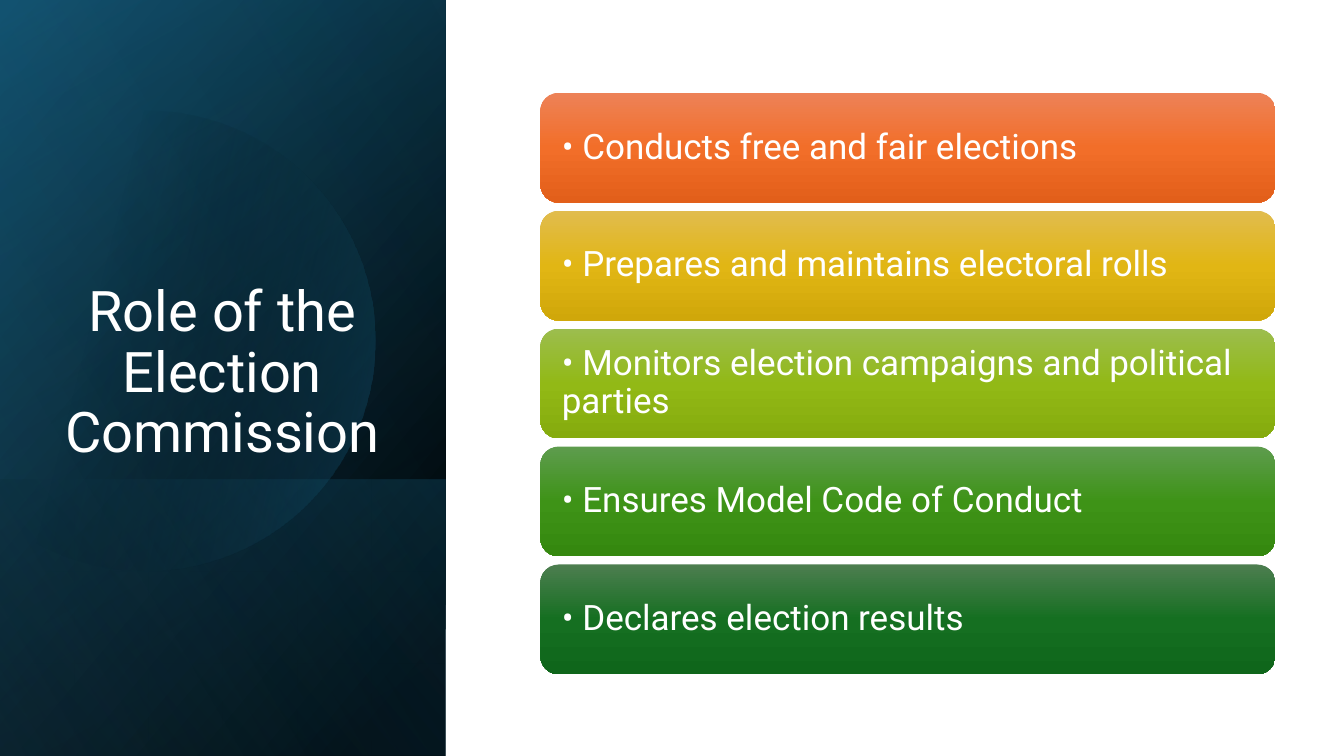
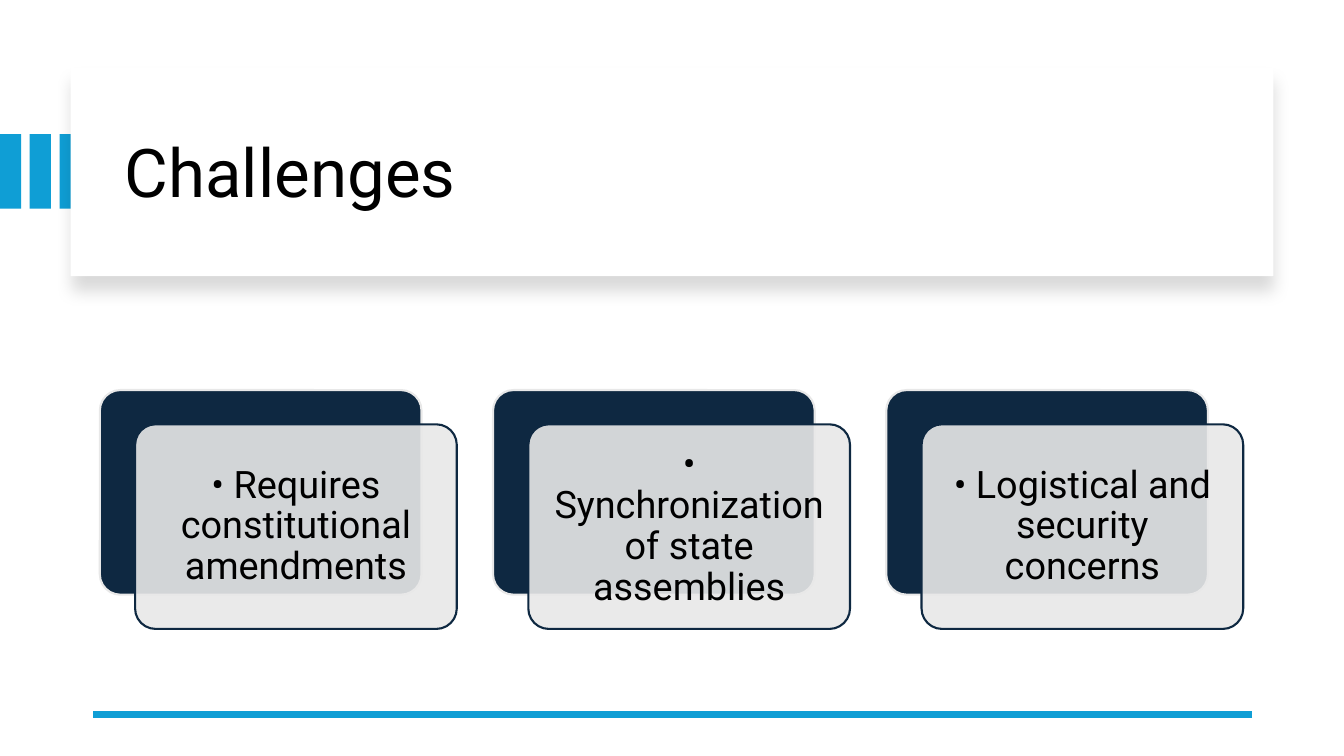
from math import acos, cos, degrees, radians, sin

from pptx import Presentation
from pptx.dml.color import RGBColor
from pptx.enum.shapes import MSO_CONNECTOR as Conn, MSO_SHAPE as Form
from pptx.enum.text import MSO_ANCHOR as Anchor, PP_ALIGN as Align
from pptx.oxml import parse_xml
from pptx.oxml.ns import nsdecls, qn
from pptx.util import Inches, Pt

HUES = {
    "white": "FFFFFF", "black": "000000", "teal": "156082", "deep": "104862",
    "sky": "46B1E1", "blue": "0F9ED5", "navy": "0E2841", "pale": "E8E8E8",
}
FONT = "Roboto"

ROLE = "Role of the Election Commission"
DUTIES = [
    ("• Conducts free and fair elections", ("ED8257", "F26E29", "E25F1A")),
    ("• Prepares and maintains electoral rolls", ("E1BC4E", "E1B614", "D0A70A")),
    ("• Monitors election campaigns and political parties",
     ("9CBD4E", "92B916", "85AB0D")),
    ("• Ensures Model Code of Conduct", ("5E9C4E", "3E9317", "35880F")),
    ("• Declares election results", ("4D7E50", "156F21", "0F661B")),
]
TITLE = "Challenges"
ISSUES = [
    "• Requires constitutional amendments",
    "• Synchronization of state assemblies",
    "• Logistical and security concerns",
]

PANEL = (-1.54, 1.54, 7.5, 4.42)
BASE = (0.84, 3.92, 2.74, 4.42)
BACK = [
    (PANEL, [(8, "black", 100), (100, "deep", 100)], 50),
    (PANEL, [(0, "black", 0), (99, "teal", 46)], 30),
    (BASE, [(2, "teal", 29), (100, "black", 30)], 130),
]
GLOW = [(29, "black", 0), (100, "teal", 43)]
SHEEN = [(0, "black", 0), (99, "sky", 11)]


def color(name):
    return RGBColor.from_string(HUES[name])


def place(slide, form, box):
    shape = slide.shapes.add_shape(form, *map(Inches, box))
    shape.shadow.inherit = False
    shape.line.fill.background()
    return shape


def solid(shape, name, edge=None):
    shape.fill.solid()
    shape.fill.fore_color.rgb = color(name)
    if edge:
        shape.line.color.rgb = color(edge)
        shape.line.width = Pt(1.5)


def fade(shape, stops, angle):
    marks = "".join(
        f'<a:gs pos="{pos * 1000}"><a:srgbClr val="{HUES.get(hue, hue)}">'
        f'<a:alpha val="{alpha * 1000}"/></a:srgbClr></a:gs>'
        for pos, hue, alpha in stops)
    grad = parse_xml(
        f'<a:gradFill {nsdecls("a")} rotWithShape="1"><a:gsLst>{marks}</a:gsLst>'
        f'<a:lin ang="{angle * 60000}" scaled="0"/></a:gradFill>')
    shape.fill.background()
    props = shape.element.spPr
    props.replace(props.find(qn("a:noFill")), grad)


def write(shape, text, size, hue, align=Align.LEFT, anchor=Anchor.MIDDLE, pad=None):
    frame = shape.text_frame
    frame.text = text
    frame.word_wrap = True
    frame.vertical_anchor = anchor
    if pad is not None:
        frame.margin_left = frame.margin_right = Inches(pad)
        frame.margin_top = frame.margin_bottom = Inches(pad)
    para = frame.paragraphs[0]
    para.alignment = align
    para.line_spacing = 0.9
    font = para.runs[0].font
    font.name, font.size = FONT, Pt(size)
    font.color.rgb = color(hue)


def title(slide, box, *style):
    write(slide.shapes.add_textbox(*map(Inches, box)), *style)


def turned(slide, box, stops, angle):
    shape = place(slide, Form.RECTANGLE, box)
    shape.rotation = 90
    shape.element.spPr.find(qn("a:xfrm")).set("flipH", "1")
    fade(shape, stops, angle)


def disc(slide, mid_x, mid_y, radius):
    limit = degrees(acos(-mid_x / radius))
    turns = [radians(limit * (step / 40 - 1)) for step in range(81)]
    points = [(Inches(mid_x + radius * cos(turn)), Inches(mid_y + radius * sin(turn)))
              for turn in turns]
    path = slide.shapes.build_freeform(*points[0])
    path.add_line_segments(points[1:], close=True)
    shape = path.convert_to_shape()
    shape.shadow.inherit = False
    shape.line.fill.background()
    fade(shape, GLOW, 14)


def roles(slide):
    for box, stops, angle in BACK:
        turned(slide, box, stops, angle)
    disc(slide, 1.44, 3.38, 2.28)
    turned(slide, PANEL, SHEEN, 120)
    title(slide, (0.5, 2.04, 3.41, 2.62), ROLE, 40, "white", Align.CENTER, Anchor.BOTTOM)
    for row, (text, tones) in enumerate(DUTIES):
        bar = place(slide, Form.ROUNDED_RECTANGLE, (5.36, 0.92 + 1.17 * row, 7.29, 1.09))
        fade(bar, [(50 * spot, tone, 100) for spot, tone in enumerate(tones)], 90)
        write(bar, text, 25, "white", pad=0.16)


def cast(shape):
    glow = parse_xml(
        f'<a:outerShdw {nsdecls("a")} blurRad="{Pt(11)}" dist="{Pt(10)}" dir="5400000" '
        f'algn="t" rotWithShape="0"><a:srgbClr val="{HUES["black"]}">'
        '<a:alpha val="15000"/></a:srgbClr></a:outerShdw>')
    shape.element.spPr.find(qn("a:effectLst")).append(glow)


def rule(slide, left, right, top):
    line = slide.shapes.add_connector(
        Conn.STRAIGHT, Inches(right), Inches(top), Inches(left), Inches(top))
    line.line.color.rgb = color("blue")
    line.line.width = Pt(4.5)
    line.element.spPr.append(parse_xml(f'<a:effectLst {nsdecls("a")}/>'))


def issues(slide):
    for col in range(3):
        solid(place(slide, Form.RECTANGLE, (0.295 * col, 1.33, 0.21, 0.74)), "blue")
    card = place(slide, Form.RECTANGLE, (0.7, 0.67, 11.93, 2.07))
    solid(card, "white")
    cast(card)
    title(slide, (1.14, 0.89, 11.13, 1.7), TITLE, 48, "black")
    rule(slide, 0.92, 12.42, 7.09)
    for col, text in enumerate(ISSUES):
        left = 0.99 + 3.9 * col
        for shift, drop, fill, edge in [(0, 0, "navy", "pale"), (0.35, 0.34, "pale", "navy")]:
            tile = place(slide, Form.ROUNDED_RECTANGLE,
                         (left + shift, 3.87 + drop, 3.19, 2.03))
            tile.adjustments[0] = 0.1
            solid(tile, fill, edge)
        tint = tile.element.spPr.find(qn("a:solidFill"))[0]
        tint.append(parse_xml(f'<a:alpha {nsdecls("a")} val="90000"/>'))
        write(tile, text, 27, "black", Align.CENTER, pad=0.17)


def main():
    deck = Presentation()
    deck.slide_width, deck.slide_height = Inches(13.33), Inches(7.5)
    for build in (roles, issues):
        build(deck.slides.add_slide(deck.slide_layouts[6]))
    deck.save("out.pptx")


if __name__ == "__main__":
    main()
